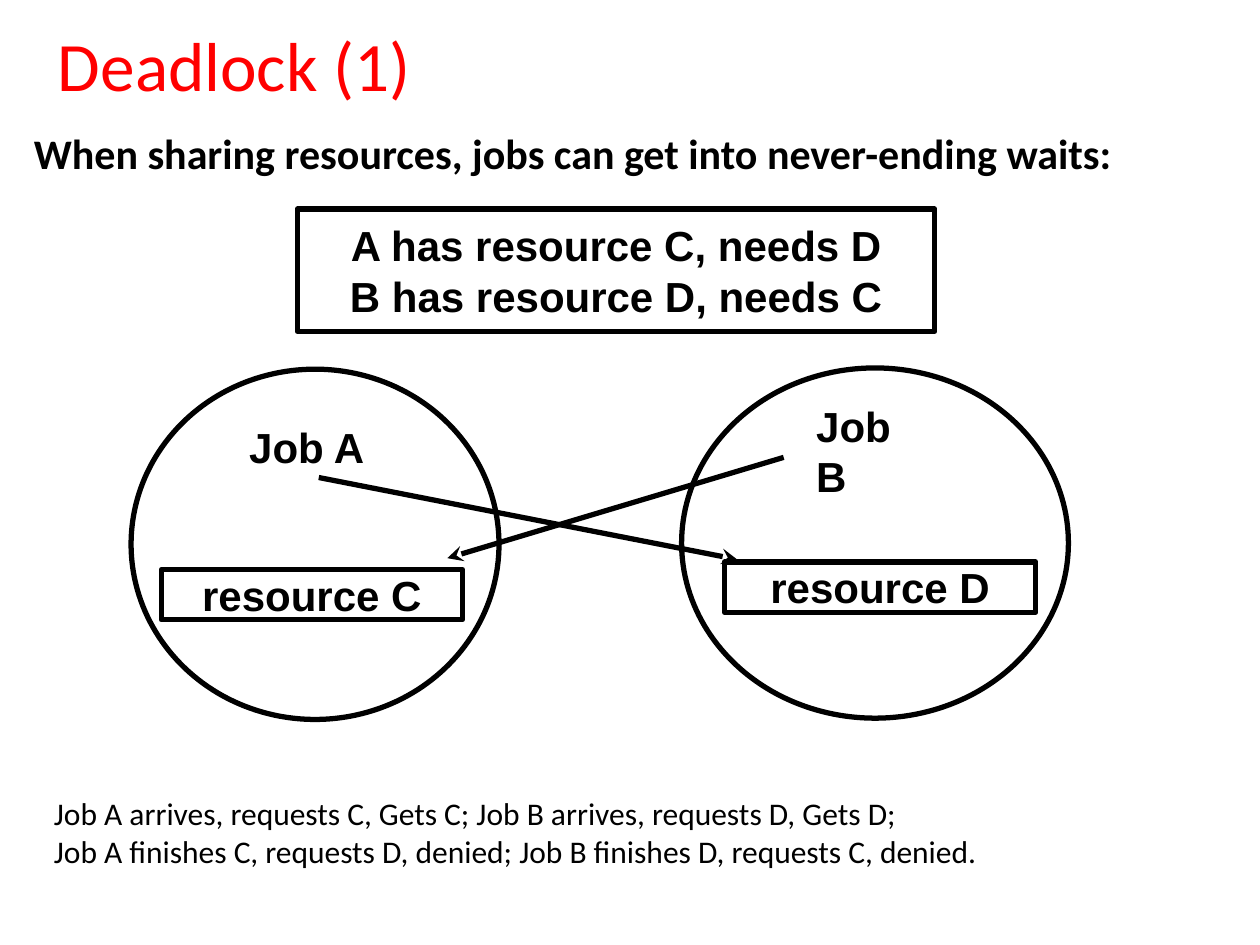
from lxml.etree import SubElement
from pptx import Presentation
from pptx.dml.color import RGBColor
from pptx.enum.shapes import MSO_CONNECTOR as Connector, MSO_SHAPE as Shape
from pptx.enum.text import MSO_ANCHOR as Anchor, PP_ALIGN as Align
from pptx.oxml.ns import qn
from pptx.util import Inches, Pt

RED = RGBColor(0xFF, 0x00, 0x00)
BLACK = RGBColor(0x00, 0x00, 0x00)
LINE_WIDTH = Pt(3)


def write(frame, lines, size, font="Arial", color=BLACK, bold=True, align=Align.LEFT, spacing=None):
    """Fill a text frame with one formatted paragraph per line."""
    frame.text = "\n".join(lines)
    for paragraph in frame.paragraphs:
        paragraph.alignment = align
        paragraph.line_spacing = spacing
        for run in paragraph.runs:
            run.font.name = font
            run.font.size = Pt(size)
            run.font.bold = bold
            run.font.color.rgb = color


def add_title(slide, box, title):
    """Place and format the title placeholder."""
    heading = slide.shapes.title
    heading.left, heading.top, heading.width, heading.height = map(Inches, box)
    heading.text_frame.vertical_anchor = Anchor.MIDDLE
    write(heading.text_frame, [title], 39.6, "Calibri", RED, bold=False, spacing=0.9)


def add_text(slide, box, lines, size, wrap=True, **style):
    """Add a text box holding the given lines."""
    frame = slide.shapes.add_textbox(*map(Inches, box)).text_frame
    frame.word_wrap = wrap
    write(frame, lines, size, **style)


def add_outline(slide, kind, box, lines=()):
    """Add an unfilled black outline with optional centred text."""
    outline = slide.shapes.add_shape(kind, *map(Inches, box))
    outline.shadow.inherit = False
    outline.fill.background()
    outline.line.color.rgb = BLACK
    outline.line.width = LINE_WIDTH
    if lines:
        outline.text_frame.word_wrap = False
        outline.text_frame.vertical_anchor = Anchor.MIDDLE
        write(outline.text_frame, lines, 24, align=Align.CENTER)


def add_job(slide, box, job, job_box, job_wraps, resource, resource_box):
    """Draw a job's circle with its name and resource offset from the circle's corner."""
    left, top = box[:2]

    def inside(part):
        """Shift a box from circle coordinates to slide coordinates."""
        return left + part[0], top + part[1], part[2], part[3]

    add_outline(slide, Shape.OVAL, box)
    add_text(slide, inside(job_box), [job], 24, wrap=job_wraps)
    add_outline(slide, Shape.RECTANGLE, inside(resource_box), [resource])


def add_request(slide, start, end):
    """Draw an arrow from a job to the resource it needs."""
    arrow = slide.shapes.add_connector(Connector.STRAIGHT, *map(Inches, start + end))
    arrow.line.color.rgb = BLACK
    arrow.line.width = LINE_WIDTH
    properties = arrow._element.spPr
    SubElement(properties.find(qn("a:ln")), qn("a:tailEnd"), type="stealth")
    SubElement(properties, qn("a:effectLst"))


def main():
    """Build the deadlock slide."""
    deck = Presentation()
    deck.slide_width, deck.slide_height = Inches(10), Inches(7.5)
    slide = deck.slides.add_slide(deck.slide_layouts[5])

    add_title(slide, (0.36, 0.23, 8.5, 0.64), "Deadlock (1)")
    add_text(slide, (0.17, 1.01, 9.66, 0.5),
             ["When sharing resources, jobs can get into never-ending waits:"],
             24, font="Calibri", spacing=0.9)
    add_outline(slide, Shape.RECTANGLE, (2.36, 1.66, 5.06, 0.97),
                ["A has resource C, needs D", "B has resource D, needs C"])
    add_job(slide, (1.04, 2.93, 2.92, 2.78), "Job A", (0.84, 0.37, 1.13, 0.5), False,
            "resource C", (0.24, 1.59, 2.39, 0.4))
    add_job(slide, (5.41, 2.92, 3.07, 2.78), "Job B", (0.97, 0.21, 1.1, 0.5), True,
            "resource D", (0.34, 1.54, 2.47, 0.4))
    add_request(slide, (2.53, 3.79), (5.85, 4.44))
    add_request(slide, (6.22, 3.63), (3.55, 4.43))
    add_text(slide, (0.33, 6.25, 9.33, 0.71),
             ["Job A arrives, requests C, Gets C; Job B arrives, requests D, Gets D;",
              "Job A finishes C, requests D, denied; Job B finishes D, requests C, denied."],
             18, font="Calibri", bold=False)
    deck.save("out.pptx")


if __name__ == "__main__":
    main()
